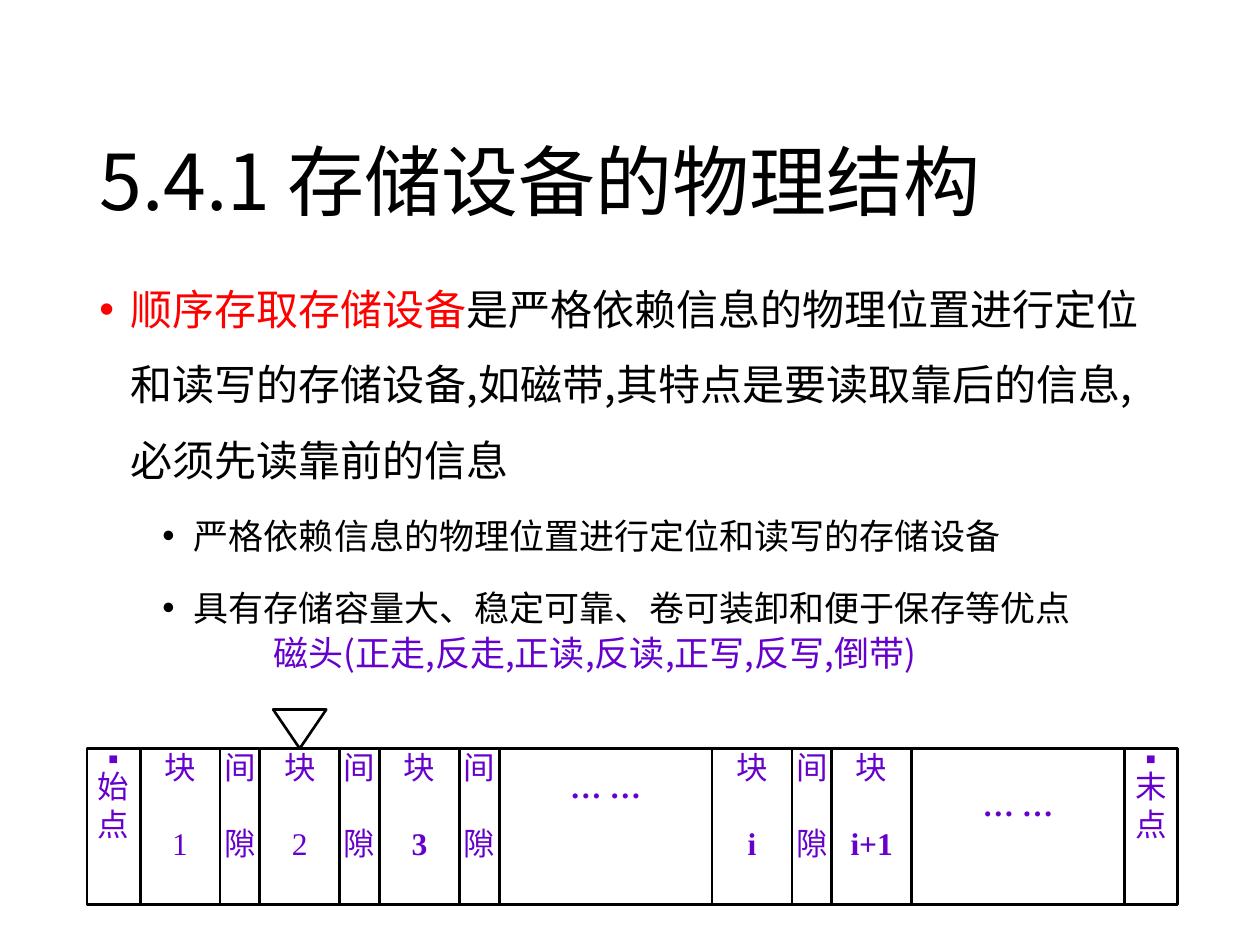
from pptx import Presentation
from pptx.dml.color import RGBColor
from pptx.enum.shapes import MSO_SHAPE
from pptx.enum.text import MSO_ANCHOR, PP_ALIGN
from pptx.oxml import parse_xml
from pptx.oxml.ns import nsdecls
from pptx.util import Pt

BLACK = RGBColor(0x00, 0x00, 0x00)
WHITE = RGBColor(0xFF, 0xFF, 0xFF)
RED = RGBColor(0xFF, 0x00, 0x00)
PURPLE = RGBColor(0x66, 0x00, 0xCC)
SANS = "Noto Sans CJK SC"
SERIF = "Times New Roman"

TAPE_LEFT, TAPE_TOP, TAPE_HEIGHT = 49.7, 427.7, 89.3
TAPE_UNIT = 7.6
BLOCK_UNITS, GAP_UNITS, END_UNITS, ELLIPSIS_UNITS = 6, 3, 4, 16


def add_run(paragraph, text, size, font, color, bold=False):
    """Append one formatted run, with the same face for Latin and Chinese."""
    run = paragraph.add_run()
    run.text = text
    run.font.size = Pt(size)
    run.font.name = font
    run.font.bold = bold
    run.font.color.rgb = color
    if font == SANS:
        latin = run.font._element.find("{*}latin")
        latin.addnext(parse_xml(f'<a:ea {nsdecls("a")} typeface="{font}"/>'))


def add_text_area(slide, left, top, width, height, anchor=MSO_ANCHOR.TOP):
    """Add a wrapping text box and return its text frame."""
    frame = slide.shapes.add_textbox(Pt(left), Pt(top), Pt(width), Pt(height)).text_frame
    frame.word_wrap = True
    frame.vertical_anchor = anchor
    return frame


def clear_insets(frame):
    """Let the text reach the edges of its frame."""
    frame.margin_left = frame.margin_right = frame.margin_top = frame.margin_bottom = 0


def format_bullet(paragraph, level, indent, space_before):
    """Give a paragraph a hanging bullet and the body spacing."""
    paragraph.level = level
    paragraph.line_spacing = 1.5
    paragraph.space_before = Pt(space_before)
    properties = paragraph._p.get_or_add_pPr()
    properties.set("marL", str(Pt(indent)))
    properties.set("indent", str(Pt(-18)))
    properties.append(parse_xml(f'<a:buFont {nsdecls("a")} typeface="Arial"/>'))
    properties.append(parse_xml(f'<a:buChar {nsdecls("a")} char="•"/>'))


def add_outlined(slide, kind, left, top, width, height):
    """Add a white shape with a black outline."""
    shape = slide.shapes.add_shape(kind, Pt(left), Pt(top), Pt(width), Pt(height))
    shape.shadow.inherit = False
    shape.fill.solid()
    shape.fill.fore_color.rgb = WHITE
    shape.line.color.rgb = BLACK
    shape.line.width = Pt(1.5)
    return shape


def add_segment(slide, left, units, lines, top_inset=0, line_gap=0):
    """Add one tape segment; each line is (text, size, bold)."""
    segment = add_outlined(slide, MSO_SHAPE.RECTANGLE, left, TAPE_TOP,
                           units * TAPE_UNIT, TAPE_HEIGHT)
    frame = segment.text_frame
    frame.word_wrap = True
    frame.vertical_anchor = MSO_ANCHOR.TOP
    clear_insets(frame)
    frame.margin_top = Pt(top_inset)
    for index, (text, size, bold) in enumerate(lines):
        paragraph = frame.add_paragraph() if index else frame.paragraphs[0]
        paragraph.alignment = PP_ALIGN.CENTER
        if index:
            paragraph.space_before = Pt(line_gap)
        add_run(paragraph, text, size, SERIF, PURPLE, bold)


def add_tape(slide):
    """Lay the tape segments side by side."""
    def end(label):
        return END_UNITS, [("■", 9, True), (label, 18, False)], 0, 0

    def block(label, bold=True):
        return BLOCK_UNITS, [("块", 18, False), (label, 18, bold)], 0, 21.5

    def ellipsis(top_inset):
        return ELLIPSIS_UNITS, [("… …", 18, True)], top_inset, 0

    gap = (GAP_UNITS, [("间", 18, False), ("隙", 18, False)], 0, 21.5)
    segments = [end("始点"), block("1", False), gap, block("2", False), gap,
                block("3"), gap, ellipsis(10.4), block("i"), gap, block("i+1"),
                ellipsis(20.7), end("末点")]
    left = TAPE_LEFT
    for units, lines, top_inset, line_gap in segments:
        add_segment(slide, left, units, lines, top_inset, line_gap)
        left += units * TAPE_UNIT


def add_head(slide):
    """Add the tape head above block 2 and its caption."""
    width = END_UNITS * TAPE_UNIT
    block_two_left = TAPE_LEFT + (END_UNITS + BLOCK_UNITS + GAP_UNITS) * TAPE_UNIT
    left = block_two_left + (BLOCK_UNITS * TAPE_UNIT - width) / 2
    add_outlined(slide, MSO_SHAPE.FLOWCHART_MERGE, left, TAPE_TOP - 22.3, width, 22.3)
    caption = add_text_area(slide, left, 360.7, 413.3, 33.1)
    clear_insets(caption)
    add_run(caption.paragraphs[0], "磁头(正走,反走,正读,反读,正写,反写,倒带)", 20, SANS, PURPLE)


def add_title(slide):
    """Add the section title."""
    title = add_text_area(slide, 49.7, 28.8, 620.6, 104.4, MSO_ANCHOR.BOTTOM).paragraphs[0]
    title.line_spacing = 0.9
    add_run(title, "5.4.1 存储设备的物理结构", 44, SANS, BLACK)


def add_body(slide):
    """Add the definition and its two sub-points."""
    frame = add_text_area(slide, 49.7, 144, 620.6, 342.7)
    definition = frame.paragraphs[0]
    format_bullet(definition, 0, 18, 10)
    add_run(definition, "顺序存取存储设备", 24, SANS, RED)
    add_run(definition, "是严格依赖信息的物理位置进行定位和读写的存储设备,如磁带,"
            "其特点是要读取靠后的信息,必须先读靠前的信息", 24, SANS, BLACK)
    for text in ("严格依赖信息的物理位置进行定位和读写的存储设备",
                 "具有存储容量大、稳定可靠、卷可装卸和便于保存等优点"):
        point = frame.add_paragraph()
        format_bullet(point, 1, 54, 5)
        add_run(point, text, 20, SANS, BLACK)


def main():
    """Build the slide and save it."""
    presentation = Presentation()
    presentation.slide_width, presentation.slide_height = Pt(720), Pt(540)
    slide = presentation.slides.add_slide(presentation.slide_layouts[6])
    add_title(slide)
    add_body(slide)
    add_tape(slide)
    add_head(slide)
    presentation.save("out.pptx")


if __name__ == "__main__":
    main()
